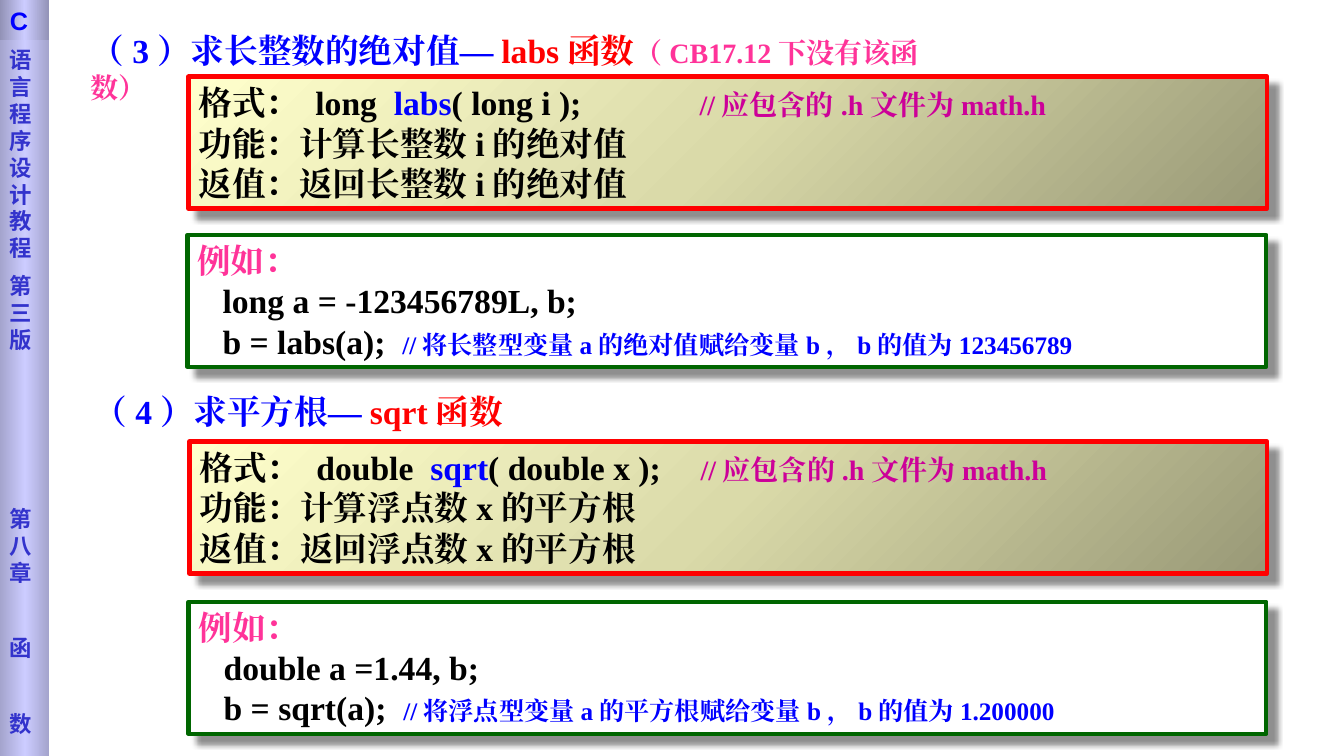
from dataclasses import dataclass

from pptx import Presentation
from pptx.dml.color import RGBColor
from pptx.enum.shapes import MSO_SHAPE
from pptx.enum.text import MSO_ANCHOR, MSO_AUTO_SIZE, PP_ALIGN
from pptx.oxml import parse_xml
from pptx.oxml.ns import nsdecls, qn
from pptx.util import Inches, Pt

RECTANGLE = MSO_SHAPE.RECTANGLE
TOP, MIDDLE = MSO_ANCHOR.TOP, MSO_ANCHOR.MIDDLE
LEFT = PP_ALIGN.LEFT
NO_AUTOFIT = MSO_AUTO_SIZE.NONE
TITLE_ONLY = 5


@dataclass(frozen=True)
class Theme:
    serif: str = "Times New Roman"
    sans: str = "Arial"
    sidebar_font: str = "DejaVu Sans"
    blue: str = "0000FF"
    red: str = "FF0000"
    pink: str = "FF3399"
    magenta: str = "CC0099"
    black: str = "000000"
    white: str = "FFFFFF"
    green: str = "006600"
    sidebar_text: str = "3333CC"
    sidebar_fill: tuple = ("A4A4CD", "CCCCFF", "A4A4CD")
    badge_fill: tuple = ("9292B6", "CCCCFF", "9292B6")
    syntax_fill: tuple = ("999977", "DADAA9", "FFFFCC")
    main: int = 24
    note: int = 20
    comment: int = 18
    sidebar: int = 16


THEME = Theme()


# Shared helpers
def add_run(paragraph, text, color, size=THEME.main, font=THEME.serif):
    run = paragraph.add_run()
    run.text = text
    run.font.size = Pt(size)
    run.font.bold = True
    run.font.name = font
    run.font.color.rgb = RGBColor.from_string(color)
    latin = run.font._element.find(qn("a:latin"))
    latin.addnext(parse_xml(f'<a:ea {nsdecls("a")} typeface="{font}"/>'))


def next_paragraph(frame, is_first):
    paragraph = frame.paragraphs[0] if is_first else frame.add_paragraph()
    paragraph.alignment = LEFT
    return paragraph


def set_gradient(shape, colors, angle):
    stops = "".join(
        f'<a:gs pos="{index * 50000}"><a:srgbClr val="{color}"/></a:gs>'
        for index, color in enumerate(colors))
    geometry = shape._element.spPr.find(qn("a:prstGeom"))
    geometry.addnext(parse_xml(
        f'<a:gradFill {nsdecls("a")} rotWithShape="1"><a:gsLst>{stops}</a:gsLst>'
        f'<a:lin ang="{angle * 60000}" scaled="0"/></a:gradFill>'))


def add_drop_shadow(shape):
    effects = shape._element.spPr.find(qn("a:effectLst"))
    effects.append(parse_xml(
        f'<a:outerShdw {nsdecls("a")} blurRad="{Pt(4)}" dist="{Pt(8.4)}" '
        f'dir="2700000" algn="tl" rotWithShape="0"><a:srgbClr val="{THEME.black}">'
        '<a:alpha val="43000"/></a:srgbClr></a:outerShdw>'))


def add_tab_stops(paragraph, positions):
    stops = "".join(f'<a:tab pos="{Inches(position)}" algn="l"/>' for position in positions)
    paragraph._p.get_or_add_pPr().append(
        parse_xml(f'<a:tabLst {nsdecls("a")}>{stops}</a:tabLst>'))


def add_rectangle(slide, box, anchor=TOP):
    shape = slide.shapes.add_shape(RECTANGLE, *map(Inches, box))
    shape.shadow.inherit = False
    shape.text_frame.word_wrap = True
    shape.text_frame.vertical_anchor = anchor
    return shape


def add_framed_panel(slide, box, color, anchor=TOP):
    shape = add_rectangle(slide, box, anchor)
    shape.line.color.rgb = RGBColor.from_string(color)
    shape.line.width = Pt(3)
    add_drop_shadow(shape)
    return shape


# Sidebar with the course, edition and chapter
def build_sidebar(slide, box):
    left, top, width, _ = box
    band = add_rectangle(slide, box)
    band.line.fill.background()
    set_gradient(band, THEME.sidebar_fill, 0)
    frame = band.text_frame
    frame.margin_top = Inches(0.46)
    labels = [("语言程序设计教程", 0), ("第三版", 8), ("第八章", 108.5),
              ("函", 35), ("数", 35)]
    for index, (label, gap) in enumerate(labels):
        paragraph = next_paragraph(frame, index == 0)
        if gap:
            paragraph.space_before = Pt(gap)
        add_run(paragraph, label, THEME.sidebar_text, THEME.sidebar, THEME.sidebar_font)

    badge = add_rectangle(slide, (left, top, width, 0.4))
    badge.line.fill.background()
    set_gradient(badge, THEME.badge_fill, 0)
    paragraph = next_paragraph(badge.text_frame, True)
    add_run(paragraph, "C", THEME.blue, THEME.comment, THEME.sans)


# Section heading
def build_heading(shape, box, topic, function, remark=""):
    shape.left, shape.top, shape.width, shape.height = map(Inches, box)
    frame = shape.text_frame
    frame.word_wrap = True
    frame.auto_size = NO_AUTOFIT
    frame.vertical_anchor = TOP
    paragraph = next_paragraph(frame, True)
    add_run(paragraph, topic, THEME.blue)
    add_run(paragraph, function, THEME.red)
    if remark:
        add_run(paragraph, remark, THEME.pink, THEME.note)


# Function syntax: format, purpose and return value
def build_syntax(slide, box, kind, name, arguments, result):
    panel = add_framed_panel(slide, box, THEME.red, MIDDLE)
    set_gradient(panel, THEME.syntax_fill, 225)
    frame = panel.text_frame
    paragraph = next_paragraph(frame, True)
    add_tab_stops(paragraph, (1.16, 4.97))
    add_run(paragraph, f"格式：\t{kind}  ", THEME.black)
    add_run(paragraph, name, THEME.blue)
    add_run(paragraph, f"{arguments};\t", THEME.black)
    add_run(paragraph, "//应包含的.h文件为math.h", THEME.magenta, THEME.note)
    for label in ("功能：计算", "返值：返回"):
        add_run(next_paragraph(frame, False), label + result, THEME.black)


# Code example
def build_example(slide, box, declaration, call, comment):
    panel = add_framed_panel(slide, box, THEME.green)
    panel.fill.solid()
    panel.fill.fore_color.rgb = RGBColor.from_string(THEME.white)
    frame = panel.text_frame
    add_run(next_paragraph(frame, True), "例如：", THEME.pink)
    for code in (declaration, call):
        paragraph = next_paragraph(frame, False)
        add_run(paragraph, "   " + code, THEME.black)
    add_run(paragraph, comment, THEME.blue, THEME.comment)


def main():
    presentation = Presentation()
    presentation.slide_width = Inches(13.33)
    presentation.slide_height = Inches(7.5)
    slide = presentation.slides.add_slide(presentation.slide_layouts[TITLE_ONLY])

    build_sidebar(slide, (0, 0, 0.49, 7.5))

    build_heading(slide.shapes.title, (0.8, 0.25, 8.53, 0.5),
                  "（3）求长整数的绝对值—", "labs函数", "（CB17.12下没有该函数）")
    build_syntax(slide, (1.87, 0.76, 10.7, 1.31), "long", "labs",
                 "( long i )", "长整数i的绝对值")
    build_example(slide, (1.86, 2.33, 10.7, 1.31), "long a = -123456789L, b;",
                  "b = labs(a);  ", "//将长整型变量a的绝对值赋给变量b，b的值为123456789")

    root_heading = slide.shapes.add_textbox(0, 0, 0, 0)
    build_heading(root_heading, (0.83, 3.83, 4.99, 0.5), "（4）求平方根—", "sqrt函数")
    build_syntax(slide, (1.88, 4.38, 10.69, 1.31), "double", "sqrt",
                 "( double x )", "浮点数x的平方根")
    build_example(slide, (1.87, 5.97, 10.69, 1.31), "double a =1.44, b;",
                  "b = sqrt(a);  ", "//将浮点型变量a的平方根赋给变量b，b的值为1.200000")

    presentation.save("out.pptx")


if __name__ == "__main__":
    main()
